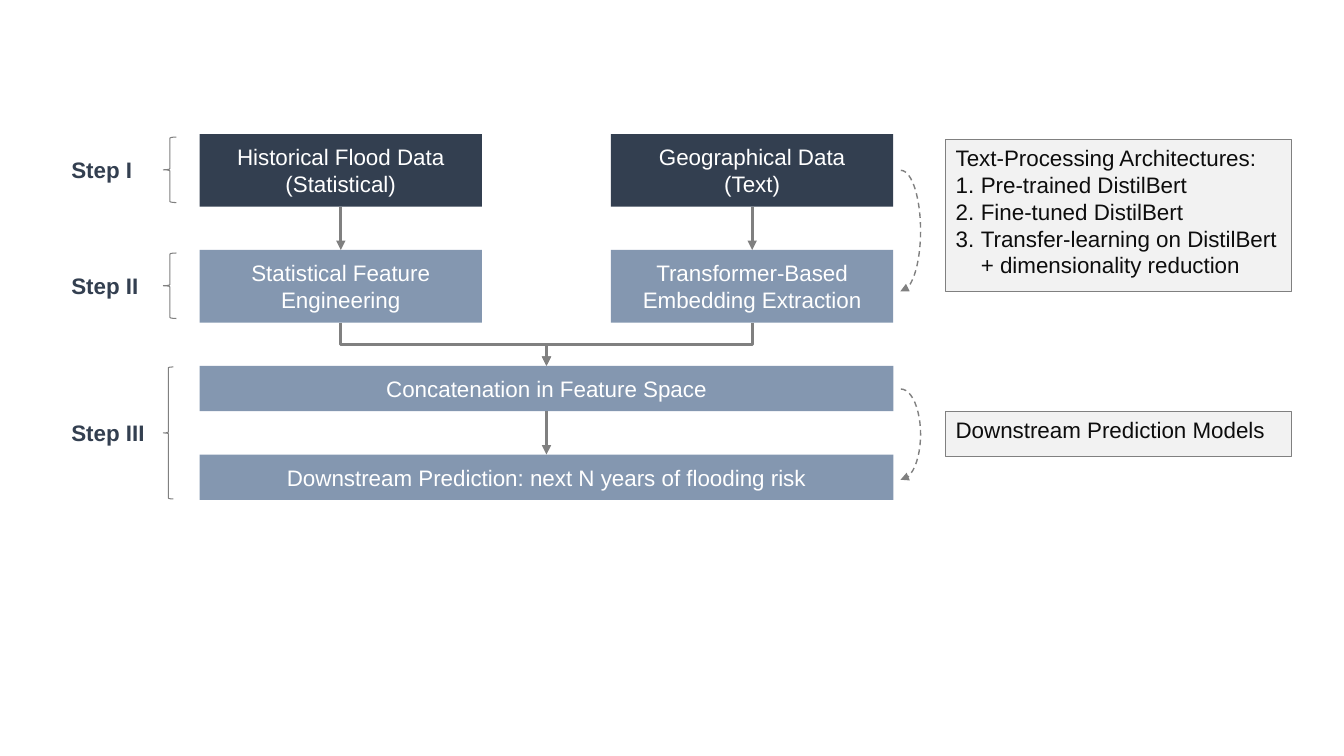
from dataclasses import dataclass
from lxml.etree import SubElement
from pptx import Presentation
from pptx.dml.color import RGBColor
from pptx.enum.dml import MSO_LINE
from pptx.enum.shapes import MSO_CONNECTOR, MSO_SHAPE
from pptx.enum.text import MSO_ANCHOR, PP_ALIGN
from pptx.oxml.ns import qn
from pptx.util import Inches, Pt


@dataclass(frozen=True)
class Theme:
    """Colours, font and sizes of the slide."""
    navy: str = "333F50"
    steel: str = "8497B0"
    gray: str = "808080"
    pale: str = "F2F2F2"
    ink: str = "0D0D0D"
    white: str = "FFFFFF"
    font: str = "Arial"
    size: float = 16
    thick: float = 2.25
    dash: float = 1
    brace: float = 0.75
    frame: float = 0.5


THEME = Theme()
CENTER = {"alignment": PP_ALIGN.CENTER}
LEFT = {"alignment": PP_ALIGN.LEFT}
MIDDLE = {"word_wrap": True, "vertical_anchor": MSO_ANCHOR.MIDDLE}
TOP = {"word_wrap": True, "vertical_anchor": MSO_ANCHOR.TOP}


def apply(item, values):
    """Set each format value on the item."""
    for name, value in values.items():
        setattr(item, name, value)


def write(shape, lines, color, frame, para, bold=False):
    """Fill a shape with formatted paragraphs."""
    text = shape.text_frame
    text.text = "\n".join(lines)
    apply(text, frame)
    for part in text.paragraphs:
        apply(part, para)
        for run in part.runs:
            apply(run.font, {"name": THEME.font, "size": Pt(THEME.size), "bold": bold})
            run.font.color.rgb = RGBColor.from_string(color)


def stroke(line, width, dash=None):
    """Give a line its gray colour, width and dash."""
    line.color.rgb = RGBColor.from_string(THEME.gray)
    apply(line, {"width": Pt(width), "dash_style": dash})


def draw(slide, kind, box, fill=None, width=None, dash=None):
    """Add a preset shape with an optional fill and outline."""
    shape = slide.shapes.add_shape(kind, *map(Inches, box))
    shape.shadow.inherit = False
    if fill:
        shape.fill.solid()
        shape.fill.fore_color.rgb = RGBColor.from_string(fill)
    else:
        shape.fill.background()
    if width:
        stroke(shape.line, width, dash)
    else:
        shape.line.fill.background()
    return shape


def tip(shape):
    """Put a triangle at the end of a line."""
    SubElement(shape.line._get_or_add_ln(), qn("a:tailEnd"), type="triangle")


def link(slide, kind, start, end):
    """Add a thick arrow between two points."""
    line = slide.shapes.add_connector(kind, *map(Inches, (*start, *end)))
    stroke(line.line, THEME.thick)
    tip(line)
    SubElement(line._element.spPr, qn("a:effectLst"))
    return line


def merge(slide, start, end):
    """Add an elbow arrow that leaves and arrives vertically."""
    side = 1 if start[0] > end[0] else -1
    x, y = (start[0] + end[0]) / 2, (start[1] + end[1]) / 2
    half, drop = abs(start[0] - end[0]) / 2, (end[1] - start[1]) / 2
    line = link(slide, MSO_CONNECTOR.ELBOW,
                (x - side * drop, y - half), (x + side * drop, y + half))
    turn = 90 if side == 1 else 270
    line._element.spPr.find(qn("a:xfrm")).set("rot", str(turn * 60000))


def flow(slide, box):
    """Draw the two data branches and the rows they merge into."""
    left, top, width, _ = box
    wide, tall, low, gap = 2.8, 0.72, 0.45, 0.43
    mid, second = left + width / 2, top + tall + gap
    third = second + tall + gap
    last = third + low + gap
    columns = [
        (left, "Historical Flood Data\v(Statistical)", "Statistical Feature Engineering"),
        (left + width - wide, "Geographical Data\v(Text)",
         "Transformer-Based Embedding Extraction"),
    ]
    for x, data, method in columns:
        for y, label, fill in ((top, data, THEME.navy), (second, method, THEME.steel)):
            cell = draw(slide, MSO_SHAPE.RECTANGLE, (x, y, wide, tall), fill)
            write(cell, [label], THEME.white, MIDDLE, CENTER)
        axis = x + wide / 2
        link(slide, MSO_CONNECTOR.STRAIGHT, (axis, top + tall), (axis, second))
        merge(slide, (axis, second + tall), (mid, third))
    rows = [(third, "Concatenation in Feature Space"),
            (last, "Downstream Prediction: next N years of flooding risk")]
    for y, label in rows:
        row = draw(slide, MSO_SHAPE.RECTANGLE, (left, y, width, low), THEME.steel)
        write(row, [label], THEME.white, MIDDLE, CENTER)
    link(slide, MSO_CONNECTOR.STRAIGHT, (mid, third + low), (mid, last))


def steps(slide, box):
    """Draw the step labels with their braces."""
    left, top, width, _ = box
    tall = 0.72
    marks = [("Step I", 0.04, 0.13, 0.65), ("Step II", 1.19, 0.13, 0.65),
             ("Step III", 2.32, 0.1, 1.31)]
    for label, y, wide, span in marks:
        place = (left, top + y + (span - tall) / 2, width, tall)
        text = slide.shapes.add_textbox(*map(Inches, place))
        write(text, [label], THEME.navy, MIDDLE, LEFT, True)
        draw(slide, MSO_SHAPE.LEFT_BRACE, (left + 1.01, top + y, wide, span),
             width=THEME.brace)


def notes(slide, box):
    """Draw the dashed arcs and the notes beside them."""
    left, top, width, _ = box
    for y, span in ((0.31, 1.2), (2.48, 0.9)):
        arc = draw(slide, MSO_SHAPE.ARC, (left, top + y, 0.39, span),
                   width=THEME.dash, dash=MSO_LINE.DASH)
        arc.adjustments[0], arc.adjustments[1] = 162, 54.26
        tip(arc)
    cards = [
        (0, 1.51, ["Text-Processing Architectures:", "Pre-trained DistilBert",
                   "Fine-tuned DistilBert",
                   "Transfer-learning on DistilBert + dimensionality reduction"]),
        (2.7, 0.45, ["Downstream Prediction Models"]),
    ]
    for y, tall, lines in cards:
        card = draw(slide, MSO_SHAPE.RECTANGLE, (left + 0.64, top + y, width - 0.64, tall),
                    THEME.pale, THEME.frame)
        write(card, lines, THEME.ink, TOP, LEFT)
        for part in card.text_frame.paragraphs[1:]:
            props = part._p.get_or_add_pPr()
            props.set("marL", str(Inches(0.25)))
            props.set("indent", str(-Inches(0.25)))
            SubElement(props, qn("a:buFont"), typeface="+mj-lt")
            SubElement(props, qn("a:buAutoNum"), type="arabicPeriod")


def main():
    """Build and save the slide."""
    deck = Presentation()
    apply(deck, {"slide_width": Inches(13.33), "slide_height": Inches(7.5)})
    slide = deck.slides.add_slide(deck.slide_layouts[6])
    flow(slide, (1.98, 1.33, 6.88, 3.63))
    steps(slide, (0.61, 1.32, 1.44, 3.63))
    notes(slide, (8.74, 1.38, 4.07, 3.38))
    deck.save("out.pptx")


main()
